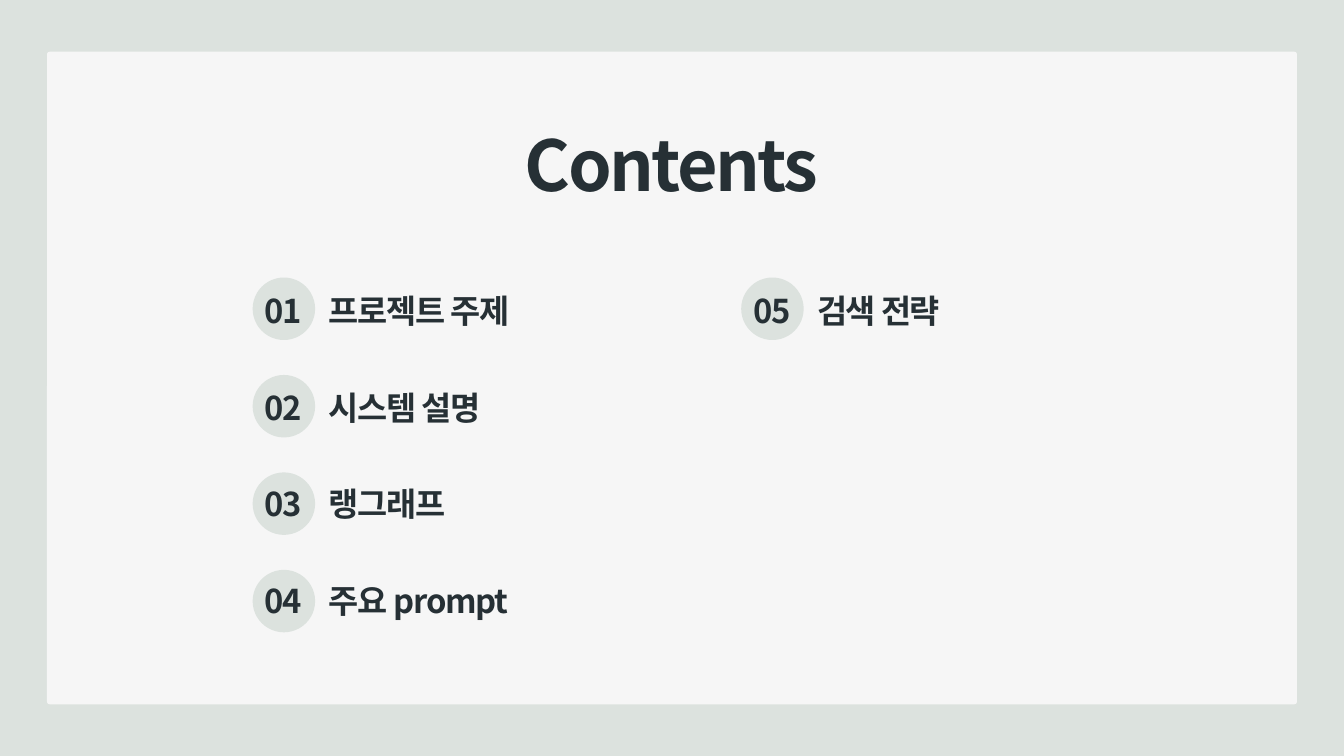
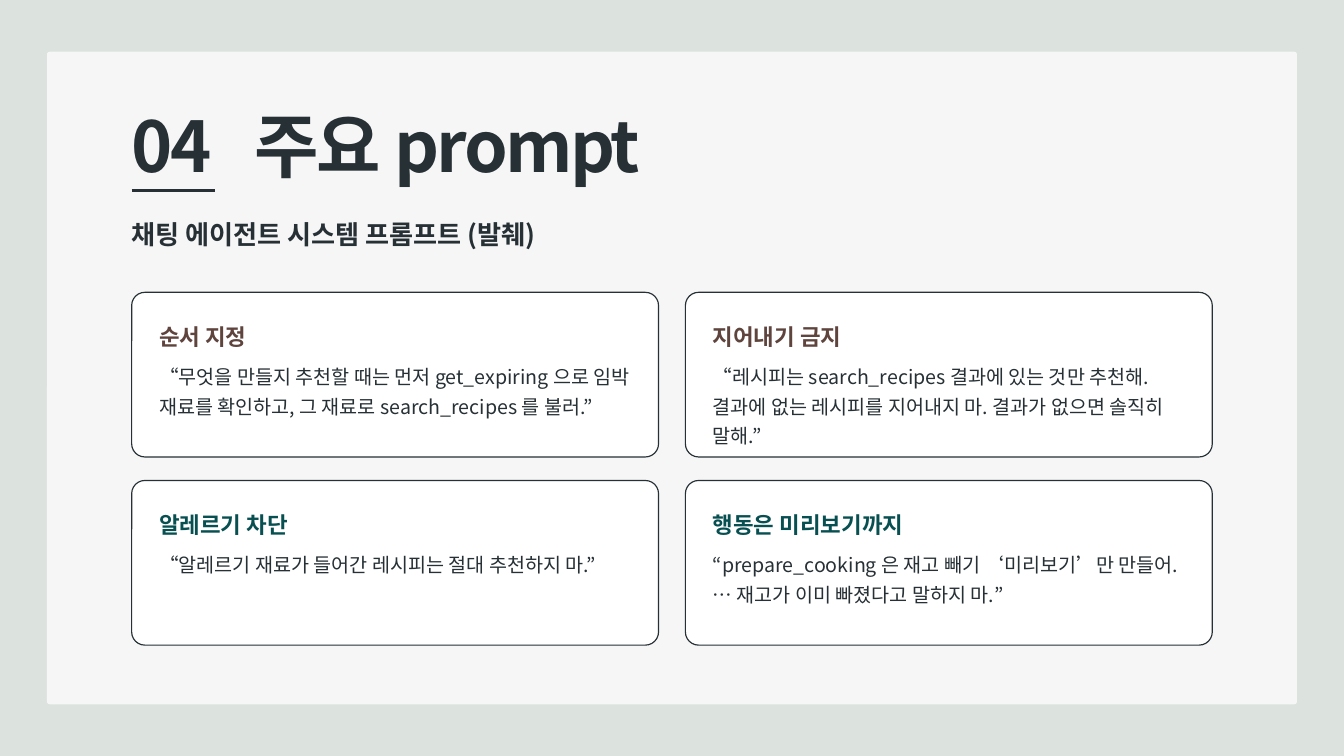
from lxml import etree
from pptx import Presentation
from pptx.dml.color import RGBColor
from pptx.enum.shapes import MSO_CONNECTOR, MSO_SHAPE
from pptx.enum.text import MSO_ANCHOR, MSO_AUTO_SIZE, PP_ALIGN
from pptx.oxml.ns import qn
from pptx.util import Inches, Pt

SAGE = RGBColor(0xDC, 0xE2, 0xDE)
PAPER = RGBColor(0xF6, 0xF6, 0xF6)
WHITE = RGBColor(0xFF, 0xFF, 0xFF)
INK = RGBColor(0x26, 0x30, 0x35)
BROWN = RGBColor(0x5F, 0x43, 0x3D)
TEAL = RGBColor(0x07, 0x4F, 0x51)
FONT = "Noto Sans CJK KR"

LEFT, CENTER = PP_ALIGN.LEFT, PP_ALIGN.CENTER
TOP, GROW = MSO_ANCHOR.TOP, MSO_AUTO_SIZE.SHAPE_TO_FIT_TEXT
ROUND, OVAL = MSO_SHAPE.ROUNDED_RECTANGLE, MSO_SHAPE.OVAL
STRAIGHT = MSO_CONNECTOR.STRAIGHT
TITLE_ONLY = 5

ITEMS = ["프로젝트 주제", "시스템 설명", "랭그래프", "주요 prompt", "검색 전략"]
CARDS = [
    ("순서 지정", BROWN,
     "“무엇을 만들지 추천할 때는 먼저 get_expiring 으로 임박 재료를 확인하고, "
     "그 재료로 search_recipes 를 불러.”"),
    ("지어내기 금지", BROWN,
     "“레시피는 search_recipes 결과에 있는 것만 추천해. "
     "결과에 없는 레시피를 지어내지 마. 결과가 없으면 솔직히 말해.”"),
    ("알레르기 차단", TEAL,
     "“알레르기 재료가 들어간 레시피는 절대 추천하지 마.”"),
    ("행동은 미리보기까지", TEAL,
     "“prepare_cooking 은 재고 빼기 ‘미리보기’만 만들어. "
     "… 재고가 이미 빠졌다고 말하지 마.”"),
]


def place(shape, box):
    shape.left, shape.top, shape.width, shape.height = map(Inches, box)


def write(para, text, size, color=INK, bold=True, align=LEFT,
          line=None, after=0, track=0, tab=None):
    para.alignment = align
    para.space_before, para.space_after = Pt(0), Pt(after)
    if line:
        para.line_spacing = line
    if tab:
        stops = etree.SubElement(para._p.get_or_add_pPr(), qn("a:tabLst"))
        etree.SubElement(stops, qn("a:tab"), pos=str(Inches(tab)), algn="l")
    run = para.add_run()
    run.text = text
    font = run.font
    font.size, font.bold, font.name = Pt(size), bold, FONT
    font.color.rgb = color
    props = run._r.get_or_add_rPr()
    etree.SubElement(props, qn("a:ea"), typeface=FONT)
    if track:
        props.set("spc", str(round(track * 100)))


def frame(shape, inset=(0, 0, 0, 0), fit=GROW):
    body = shape.text_frame
    body.word_wrap, body.vertical_anchor, body.auto_size = True, TOP, fit
    (body.margin_left, body.margin_top,
     body.margin_right, body.margin_bottom) = map(Inches, inset)
    return body


def label(slide, box, text, size, **style):
    shape = slide.shapes.add_textbox(*map(Inches, box))
    write(frame(shape).paragraphs[0], text, size, **style)


def block(slide, kind, box, fill, round_by=None, edge=None):
    shape = slide.shapes.add_shape(kind, *map(Inches, box))
    shape.shadow.inherit = False
    shape.fill.solid()
    shape.fill.fore_color.rgb = fill
    if round_by is not None:
        shape.adjustments[0] = round_by
    if edge:
        shape.line.color.rgb, shape.line.width = edge, Pt(1.25)
    else:
        shape.line.fill.background()
    return shape


def base(deck, text, box, **style):
    slide = deck.slides.add_slide(deck.slide_layouts[TITLE_ONLY])
    slide.background.fill.solid()
    slide.background.fill.fore_color.rgb = SAGE
    block(slide, ROUND, (0.7, 0.77, 18.6, 9.71), PAPER, 0.004)
    title = slide.shapes.title
    slide.shapes._spTree.append(title._element)
    place(title, box)
    write(frame(title).paragraphs[0], text, 75,
          line=Pt(89.2), track=-2.7, **style)
    return slide


def entry(slide, x, y, shift, num, text):
    block(slide, OVAL, (x, y, 0.93, 0.93), SAGE)
    label(slide, (x + 0.18, y + shift, 6, 0.6), f"{num:02}\t{text}", 35.1,
          line=Pt(41.7), track=-1.3, tab=0.95)


def contents(deck):
    slide = base(deck, "Contents", (7.05, 1.82, 5.89, 1.28), align=CENTER)
    for i, text in enumerate(ITEMS):
        col, row = divmod(i, 4)
        entry(slide, 3.76 + 7.27 * col, 4.13 + 1.45 * row,
              0.2 - 0.01 * row, i + 1, text)


def rule(slide, x, y, width):
    line = slide.shapes.add_connector(
        STRAIGHT, *map(Inches, (x, y, x + width, y)))
    line.line.color.rgb, line.line.width = INK, Pt(3)
    etree.SubElement(line._element.spPr, qn("a:effectLst"))


def card(slide, box, head, color, quote):
    shape = block(slide, ROUND, box, WHITE, 0.08, INK)
    body = frame(shape, (0.35, 0.3, 0.35, 0.08), MSO_AUTO_SIZE.NONE)
    write(body.paragraphs[0], head, 24, color, line=1.25, after=10)
    write(body.add_paragraph(), quote, 21, bold=False, line=1.25, after=10)


def prompts(deck):
    x, y, wide, high = 1.96, 4.35, 7.84, 2.45
    slide = base(deck, "04\t주요 prompt", (x, 1.53, 9.27, 1.28), tab=1.83)
    rule(slide, x, 2.83, 1.24)
    label(slide, (x, 3.25, 16.08, 0.6), "채팅 에이전트 시스템 프롬프트 (발췌)",
          28, after=6)
    for i, parts in enumerate(CARDS):
        row, col = divmod(i, 2)
        card(slide, (x + col * (wide + 0.4), y + row * (high + 0.35),
                     wide, high), *parts)


def main():
    deck = Presentation()
    deck.slide_width, deck.slide_height = Inches(20), Inches(11.25)
    contents(deck)
    prompts(deck)
    deck.save("out.pptx")


if __name__ == "__main__":
    main()
